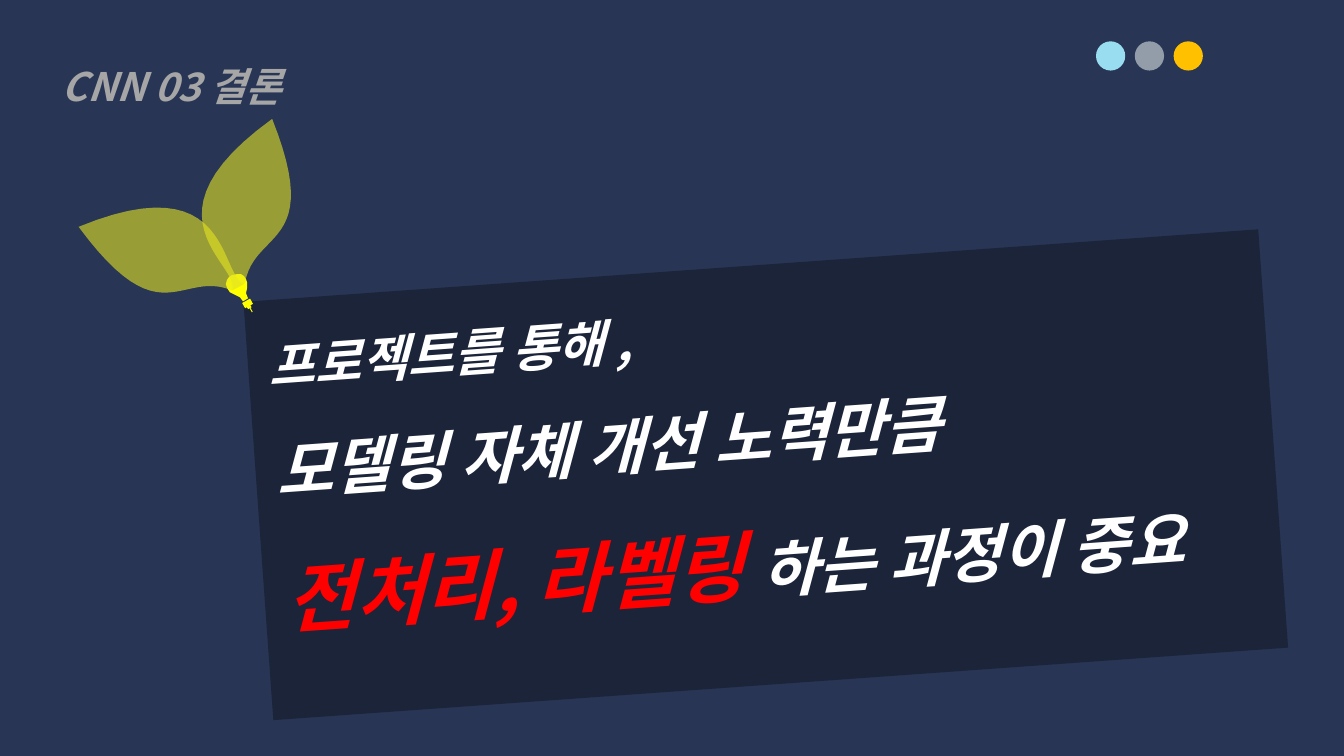
from pptx import Presentation
from pptx.dml.color import RGBColor
from pptx.enum.shapes import MSO_SHAPE
from pptx.enum.text import MSO_ANCHOR, PP_ALIGN
from pptx.oxml.ns import qn
from pptx.util import Inches, Pt
from lxml.etree import SubElement

FONT = "Noto Sans CJK KR"
YELLOW = "FFFF00"


def paint(fill, color, alpha=None):
    fill.solid()
    fill.fore_color.rgb = RGBColor.from_string(color)
    if alpha:
        tone = fill._xPr.find(qn("a:solidFill"))[0]
        SubElement(tone, qn("a:alpha")).set("val", str(alpha * 1000))


def style(shape, color, alpha=None, turn=0):
    shape.shadow.inherit = False
    shape.line.fill.background()
    shape.rotation = turn
    paint(shape.fill, color, alpha)
    return shape


def block(slide, kind, box, color, turn=0):
    shape = slide.shapes.add_shape(kind, *map(Inches, box))
    return style(shape, color, turn=turn)


def write(para, text, size, color="FFFFFF"):
    para.line_spacing = 1.5
    para.alignment = PP_ALIGN.LEFT
    run = para.add_run()
    run.text = text
    font = run.font
    font.name, font.size, font.bold, font.italic = FONT, Pt(size), True, True
    paint(font.fill, color)
    SubElement(run._r.get_or_add_rPr(), qn("a:ea")).set("typeface", FONT)


def curve(start, one, two, end, steps=24):
    """Points along a cubic curve, both ends included."""
    points = []
    for step in range(steps + 1):
        t = step / steps
        parts = ((1 - t) ** 3, 3 * t * (1 - t) ** 2, 3 * t * t * (1 - t), t ** 3)
        points.append(tuple(sum(w * p[axis] for w, p in zip(parts, (start, one, two, end)))
                            for axis in (0, 1)))
    return points


def outline(slide, box, points, color, alpha=None):
    left, top = box
    points = [(Inches(left + x), Inches(top + y)) for x, y in points]
    form = slide.shapes.build_freeform(*points[0])
    form.add_line_segments(points[1:], close=True)
    return style(form.convert_to_shape(), color, alpha)


def dots(slide, box):
    left, top, size = box
    for index, color in enumerate(("98DDF0", "929DA9", "FFC000")):
        block(slide, MSO_SHAPE.OVAL, (left + index * 0.385, top, size, size), color)


def heading(slide, box):
    title = slide.shapes.title
    title.left, title.top, title.width, title.height = map(Inches, box)
    title.text_frame.vertical_anchor = MSO_ANCHOR.TOP
    write(title.text_frame.paragraphs[0], "CNN 03 결론", 28, "A6A6A6")


def panel(slide, box):
    card = block(slide, MSO_SHAPE.ROUND_2_SAME_RECTANGLE, box, "1B2439", 355.9)
    card.adjustments[0] = 0
    frame = card.text_frame
    frame.word_wrap = True
    frame.vertical_anchor = MSO_ANCHOR.TOP
    frame.margin_left = frame.margin_right = Inches(0.2)
    lines = [
        [("프로젝트를 통해 ,", 36)],
        [("모델링 자체 개선 노력만큼", 44)],
        [("전처리, 라벨링 ", 54, "FF0000"), ("하는 과정이 중요", 44)],
    ]
    for index, line in enumerate(lines):
        para = frame.add_paragraph() if index else frame.paragraphs[0]
        for part in line:
            write(para, *part)


def sprout(slide, box):
    left, top = box
    # Bulb tip
    for x, y, wide, high in ((1.63, 1.8, 0.09, 0.06), (1.7, 1.85, 0.01, 0.07),
                             (1.67, 1.85, 0.04, 0.03)):
        block(slide, MSO_SHAPE.RECTANGLE, (left + x, top + y, wide, high), YELLOW, 151)
    # Bulb
    bulb = [(1.48, 1.69), (1.5, 1.72), (1.54, 1.74), (1.6, 1.77), (1.63, 1.81),
            (1.68, 1.78), (1.66, 1.73), (1.67, 1.68), (1.67, 1.62), (1.66, 1.59),
            (1.64, 1.56), (1.61, 1.54), (1.57, 1.54), (1.52, 1.55), (1.49, 1.57),
            (1.47, 1.6), (1.46, 1.64), (1.47, 1.67)]
    outline(slide, box, bulb, YELLOW)
    # Leaves
    wide = (curve((0, 1.07), (1.51, 0.45), (1.39, 1.53), (1.64, 1.64))
            + curve((1.52, 1.7), (1.01, 1.49), (0.82, 2.18), (0, 1.07)))
    tall = (curve((1.92, 0), (0.59, 0.96), (1.58, 1.42), (1.53, 1.7))
            + curve((1.65, 1.63), (1.74, 1.09), (2.43, 1.28), (1.92, 0)))
    for leaf in (wide, tall):
        outline(slide, box, leaf, "E7E721", 59)


def main():
    deck = Presentation()
    deck.slide_width, deck.slide_height = Inches(13.33), Inches(7.5)
    slide = deck.slides.add_slide(deck.slide_layouts[5])
    paint(slide.background.fill, "283555")
    dots(slide, (10.87, 0.41, 0.29))
    panel(slide, (2.55, 2.63, 10.09, 4.16))
    sprout(slide, (0.78, 1.18))
    heading(slide, (0.51, 0.33, 5.21, 0.81))
    deck.save("out.pptx")


if __name__ == "__main__":
    main()
